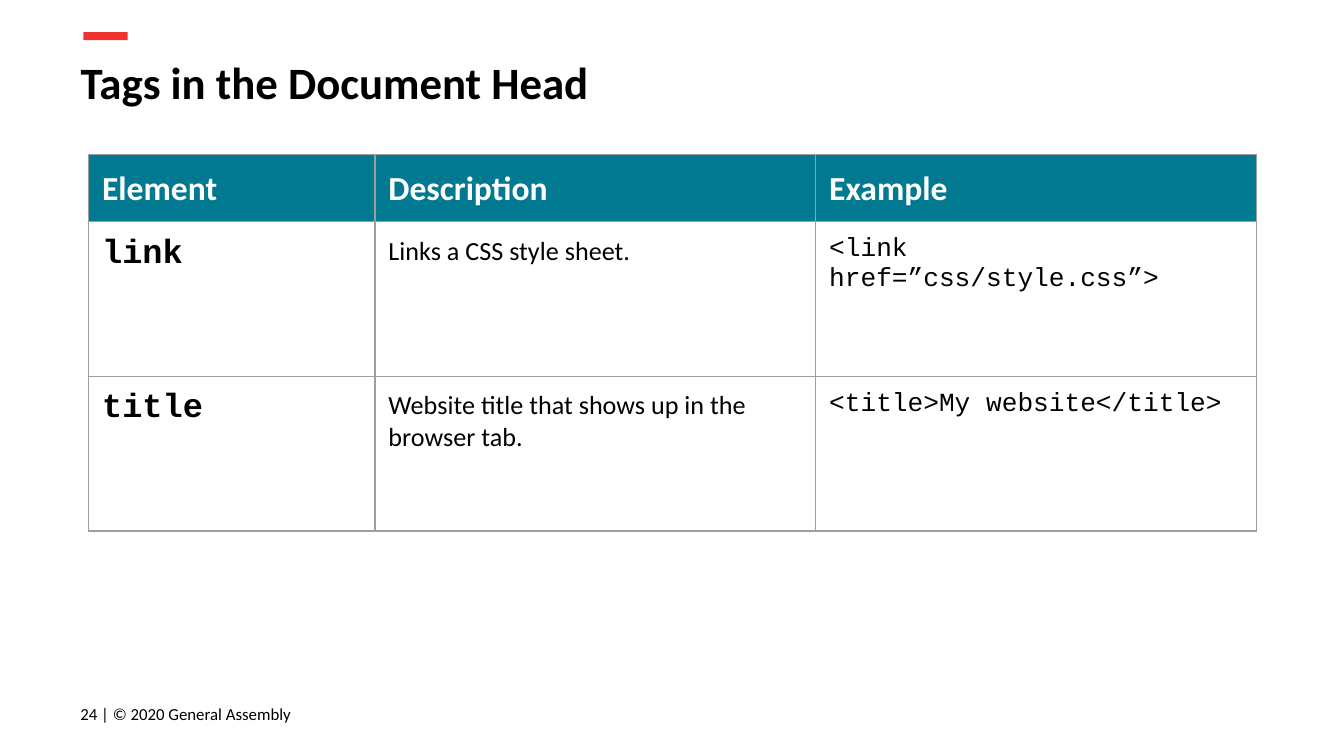
from dataclasses import dataclass

import pptx
import pptx.dml.color
import pptx.enum.shapes
import pptx.enum.text
import pptx.oxml
import pptx.oxml.ns
import pptx.util

Inches = pptx.util.Inches
RGBColor = pptx.dml.color.RGBColor
Anchor = pptx.enum.text.MSO_ANCHOR

BLACK = RGBColor(0x00, 0x00, 0x00)
WHITE = RGBColor(0xFF, 0xFF, 0xFF)
RED = RGBColor(0xED, 0x33, 0x2F)
TEAL = RGBColor(0x01, 0x79, 0x91)
GRAY = RGBColor(0x9E, 0x9E, 0x9E)

SANS = "Calibri"
MONO = "Courier New"
PAD = Inches(0.1)
WIDTHS = (2.13, 3.28, 3.28)
HEIGHTS = (0.42, 1.15, 1.15)


@dataclass(frozen=True)
class Style:
    font: str
    size: float
    bold: bool = False
    color: RGBColor = BLACK


@dataclass(frozen=True)
class Tag:
    name: str
    use: str
    code: str


HEAD = Style(SANS, 18, True, WHITE)
BODY = (Style(MONO, 18, True), Style(SANS, 14), Style(MONO, 14))
TITLES = Tag("Element", "Description", "Example")
TAGS = (
    Tag("link", "Links a CSS style sheet.", "<link href=”css/style.css”>"),
    Tag("title", "Website title that shows up in the browser tab.",
        "<title>My website</title>"),
)


def write(frame, text: str, *, style: Style) -> None:
    frame.word_wrap = True
    run = frame.paragraphs[0].add_run()
    run.text = text
    font = run.font
    font.name = style.font
    font.size = pptx.util.Pt(style.size)
    font.bold = style.bold
    font.color.rgb = style.color


def inset(box) -> None:
    """Give a cell or text frame the same margin on every side."""
    box.margin_left = box.margin_right = PAD
    box.margin_top = box.margin_bottom = PAD


def border(cell) -> None:
    props = cell._tc.get_or_add_tcPr()
    space = pptx.oxml.ns.nsdecls("a")
    for spot, side in enumerate("LRTB"):
        props.insert(spot, pptx.oxml.parse_xml(
            f'<a:ln{side} {space} w="{pptx.util.Pt(0.75)}"><a:solidFill>'
            f'<a:srgbClr val="{GRAY}"/></a:solidFill></a:ln{side}>'))


def paint(cell, color: RGBColor) -> None:
    cell.fill.solid()
    cell.fill.fore_color.rgb = color


def fade(cell, share: int) -> None:
    """Set the opacity of a cell's fill, in percent."""
    tone = cell._tc.tcPr.find(".//" + pptx.oxml.ns.qn("a:srgbClr"))
    tone.append(pptx.oxml.parse_xml(
        f'<a:alpha {pptx.oxml.ns.nsdecls("a")} val="{share * 1000}"/>'))


def draw_grid(slide) -> None:
    rows = (TITLES, *TAGS)
    grid = slide.shapes.add_table(
        len(rows), len(WIDTHS), Inches(0.66), Inches(1.15),
        Inches(sum(WIDTHS)), Inches(sum(HEIGHTS))).table
    grid.horz_banding = False
    for col, width in zip(grid.columns, WIDTHS):
        col.width = Inches(width)
    for r, tag in enumerate(rows):
        grid.rows[r].height = Inches(HEIGHTS[r])
        for c, text in enumerate((tag.name, tag.use, tag.code)):
            cell = grid.cell(r, c)
            inset(cell)
            cell.vertical_anchor = Anchor.TOP
            write(cell.text_frame, text, style=BODY[c] if r else HEAD)
            paint(cell, WHITE if r else TEAL)
            if r:
                fade(cell, 51)
            border(cell)


def draw_bar(slide) -> None:
    bar = slide.shapes.add_shape(
        pptx.enum.shapes.MSO_SHAPE.RECTANGLE,
        Inches(0.62), Inches(0.24), Inches(0.33), Inches(0.06))
    bar.shadow.inherit = False
    bar.fill.solid()
    bar.fill.fore_color.rgb = RED
    bar.line.fill.background()


def draw_foot(slide) -> None:
    frame = slide.shapes.add_textbox(
        Inches(0.5), Inches(5.1), Inches(2.59), Inches(0.43)).text_frame
    inset(frame)
    frame.vertical_anchor = Anchor.MIDDLE
    write(frame, "24 | © 2020 General Assembly", style=Style(SANS, 9))


def draw_title(slide) -> None:
    title = slide.shapes.title
    title.left, title.top = Inches(0.5), Inches(0.31)
    title.width, title.height = Inches(9.32), Inches(0.63)
    frame = title.text_frame
    inset(frame)
    frame.vertical_anchor = Anchor.TOP
    frame.auto_size = pptx.enum.text.MSO_AUTO_SIZE.NONE
    frame.paragraphs[0].alignment = pptx.enum.text.PP_ALIGN.LEFT
    write(frame, "Tags in the Document Head", style=Style(SANS, 24, True))


def main() -> None:
    deck = pptx.Presentation()
    deck.slide_width = Inches(10)
    deck.slide_height = deck.slide_width * 9 // 16
    slide = deck.slides.add_slide(deck.slide_layouts[5])
    draw_bar(slide)
    draw_foot(slide)
    draw_title(slide)
    draw_grid(slide)
    deck.save("out.pptx")


if __name__ == "__main__":
    main()
